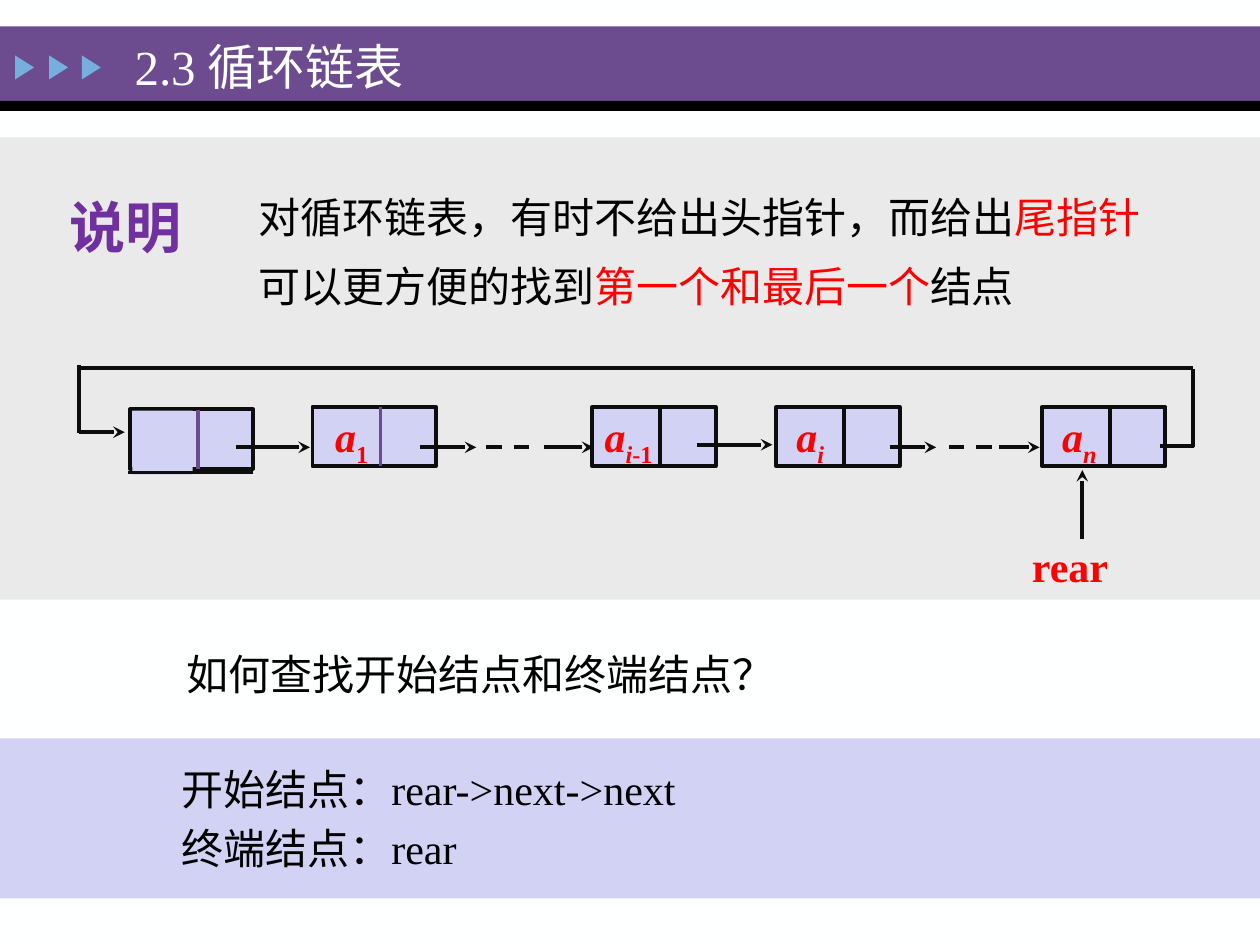
from typing import NamedTuple, Optional

from lxml.etree import SubElement
from pptx import Presentation
from pptx.dml.color import RGBColor
from pptx.enum.dml import MSO_LINE
from pptx.enum.shapes import MSO_CONNECTOR, MSO_SHAPE
from pptx.enum.text import MSO_ANCHOR, PP_ALIGN
from pptx.oxml.ns import qn
from pptx.util import Inches, Pt

FONT = "Times New Roman"
BLACK, INK, WHITE, RED = "000000", "0D0D0D", "FEFFFF", "FF0000"
PURPLE, VIOLET, LILAC, GREY, SKY = "6C4C8F", "7030A0", "D2D2F4", "EAEAEA", "76AEDD"

NODE_W, NODE_H, NODE_Y, DIVIDER_X = 0.98, 0.47, 3.23, 0.54
LINK_Y, WIRE_LEFT, WIRE_RIGHT = 3.55, 0.63, 9.47


class Run(NamedTuple):
    text: str
    color: str = BLACK
    size: int = 24
    bold: bool = False
    italic: bool = False
    sub: bool = False


class Node(NamedTuple):
    x: float
    inset: float = 0
    label: tuple[Run, ...] = ()
    y: float = NODE_Y
    divider: str = INK


class Line(NamedTuple):
    x1: float
    y1: float
    x2: float
    y2: float
    arrow: bool = False
    dash: bool = False
    color: str = INK


def rgb(color: str) -> RGBColor:
    return RGBColor.from_string(color)


def var(letter: str) -> Run:
    return Run(letter, RED, bold=True, italic=True)


def sub(text: str, italic: bool = False) -> Run:
    return Run(text, RED, bold=True, italic=italic, sub=True)


def write(shape, paragraphs, insets=(0.1, 0.05, 0.1, 0.05),
          anchor=MSO_ANCHOR.TOP, spacing: float = 1, before: float = 0) -> None:
    """Fill a shape with paragraphs, each a sequence of runs."""
    tf = shape.text_frame
    tf.word_wrap = True
    tf.vertical_anchor = anchor
    for side, value in zip(("left", "top", "right", "bottom"), insets):
        setattr(tf, f"margin_{side}", Inches(value))
    for i, runs in enumerate(paragraphs):
        p = tf.add_paragraph() if i else tf.paragraphs[0]
        p.alignment = PP_ALIGN.LEFT
        p.line_spacing = spacing
        if i:
            p.space_before = Pt(before)
        for run in runs:
            r = p.add_run()
            r.text = run.text
            style = {"name": FONT, "size": Pt(run.size),
                     "bold": run.bold, "italic": run.italic}
            for name, value in style.items():
                setattr(r.font, name, value)
            r.font.color.rgb = rgb(run.color)
            if run.sub:
                r._r.get_or_add_rPr().set("baseline", "-25000")


def add_box(s, x: float, y: float, w: float, h: float, fill: str,
            line: Optional[str] = None, kind=MSO_SHAPE.RECTANGLE):
    sp = s.shapes.add_shape(kind, Inches(x), Inches(y), Inches(w), Inches(h))
    sp.shadow.inherit = False
    sp.fill.solid()
    sp.fill.fore_color.rgb = rgb(fill)
    if line:
        sp.line.color.rgb = rgb(line)
        sp.line.width = Pt(2.25)
    else:
        sp.line.fill.background()
    return sp


def add_text(s, x: float, y: float, w: float, h: float, paragraphs, **layout) -> None:
    box = s.shapes.add_textbox(Inches(x), Inches(y), Inches(w), Inches(h))
    write(box, paragraphs, **layout)


def add_line(s, line: Line) -> None:
    ends = (Inches(v) for v in line[:4])
    c = s.shapes.add_connector(MSO_CONNECTOR.STRAIGHT, *ends)
    c.line.color.rgb = rgb(line.color)
    c.line.width = Pt(2.25)
    if line.dash:
        c.line.dash_style = MSO_LINE.DASH
    if line.arrow:
        SubElement(c.line._get_or_add_ln(), qn("a:tailEnd"), type="stealth")
    SubElement(c._element.spPr, qn("a:effectLst"))


def add_node(s, node: Node) -> None:
    """Draw a list node: data field, divider and pointer field."""
    box = add_box(s, node.x, node.y, NODE_W, NODE_H, LILAC, INK)
    if node.label:
        write(box, [node.label], insets=(node.inset, 0.03, 0, 0))
    x = node.x + DIVIDER_X
    add_line(s, Line(x, node.y, x, node.y + NODE_H, color=node.divider))


def link(x1: float, x2: float, y: float = LINK_Y) -> Line:
    return Line(x1, y, x2, y, arrow=True)


NODES = [
    Node(2.48, 0.18, (var("a"), sub("1")), divider=PURPLE),
    Node(4.7, 0.1, (var("a"), sub("i", True), sub("-1"))),
    Node(6.16, 0.16, (var("a"), sub("i", True))),
    Node(8.27, 0.16, (var("a"), sub("n", True))),
]
LINES = [
    link(1.87, 2.46), link(3.33, 3.78), link(4.32, 4.71),
    link(5.53, 6.13, 3.53), link(7.06, 7.43), link(7.93, 8.25),
    Line(3.86, LINK_Y, 4.21, LINK_Y, dash=True),
    Line(7.53, LINK_Y, 7.88, LINK_Y, dash=True),
    Line(9.48, 3.54, 9.21, 3.54),
    Line(WIRE_RIGHT, 2.93, WIRE_RIGHT, 3.55),
    Line(0.61, 2.92, WIRE_RIGHT, 2.92),
    Line(WIRE_LEFT, 2.9, WIRE_LEFT, 3.44),
    link(WIRE_LEFT, 0.99, 3.43),
    Line(2.01, 3.75, 1.02, 3.75),
    Line(8.59, 4.28, 8.59, 3.73, arrow=True),
]


def add_header(s) -> None:
    add_box(s, 0, 0.21, 10, 0.59, PURPLE)
    add_box(s, 0, 0.8, 10, 0.08, BLACK)
    for x in (0.1, 0.37, 0.63):
        marker = add_box(s, x, 0.46, 0.19, 0.15, SKY, kind=MSO_SHAPE.ISOSCELES_TRIANGLE)
        marker.rotation = 90
    add_text(s, 0.97, 0.15, 7.84, 0.75, [[Run("2.3 循环链表", WHITE, 28)]],
             anchor=MSO_ANCHOR.MIDDLE)


def add_list_diagram(s) -> None:
    add_node(s, Node(1.03, y=3.25, divider=PURPLE))
    add_box(s, 1.05, 3.26, 0.48, 0.51, LILAC)
    for node in NODES:
        add_node(s, node)
    for line in LINES:
        add_line(s, line)
    add_text(s, 8.19, 4.26, 0.83, 0.51, [[Run("rear", RED, bold=True)]],
             insets=(0, 0.03, 0, 0.04))


def main() -> None:
    prs = Presentation()
    prs.slide_width, prs.slide_height = Inches(10), Inches(7.5)
    s = prs.slides.add_slide(prs.slide_layouts[6])
    s.background.fill.solid()
    s.background.fill.fore_color.rgb = rgb(WHITE)

    add_header(s)
    add_box(s, 0, 1.09, 10, 3.67, GREY)
    add_text(s, 0.45, 1.48, 1.26, 0.64, [[Run("说明", VIOLET, 32, bold=True)]])
    add_text(s, 1.95, 1.39, 7.4, 1.15, [
        [Run("对循环链表，有时不给出头指针，而给出"), Run("尾指针", RED)],
        [Run("可以更方便的找到"), Run("第一个和最后一个", RED), Run("结点")],
    ], spacing=1.2, before=4.8)
    add_list_diagram(s)
    add_text(s, 1.38, 5.1, 6.35, 0.51, [[Run("如何查找开始结点和终端结点？")]])
    answer = add_box(s, 0, 5.86, 10, 1.27, LILAC)
    write(answer, [[Run("开始结点：rear->next->next")], [Run("终端结点：rear")]],
          insets=(1.44, 0.05, 0.1, 0.05), anchor=MSO_ANCHOR.MIDDLE, before=4.8)
    prs.save("out.pptx")


if __name__ == "__main__":
    main()
